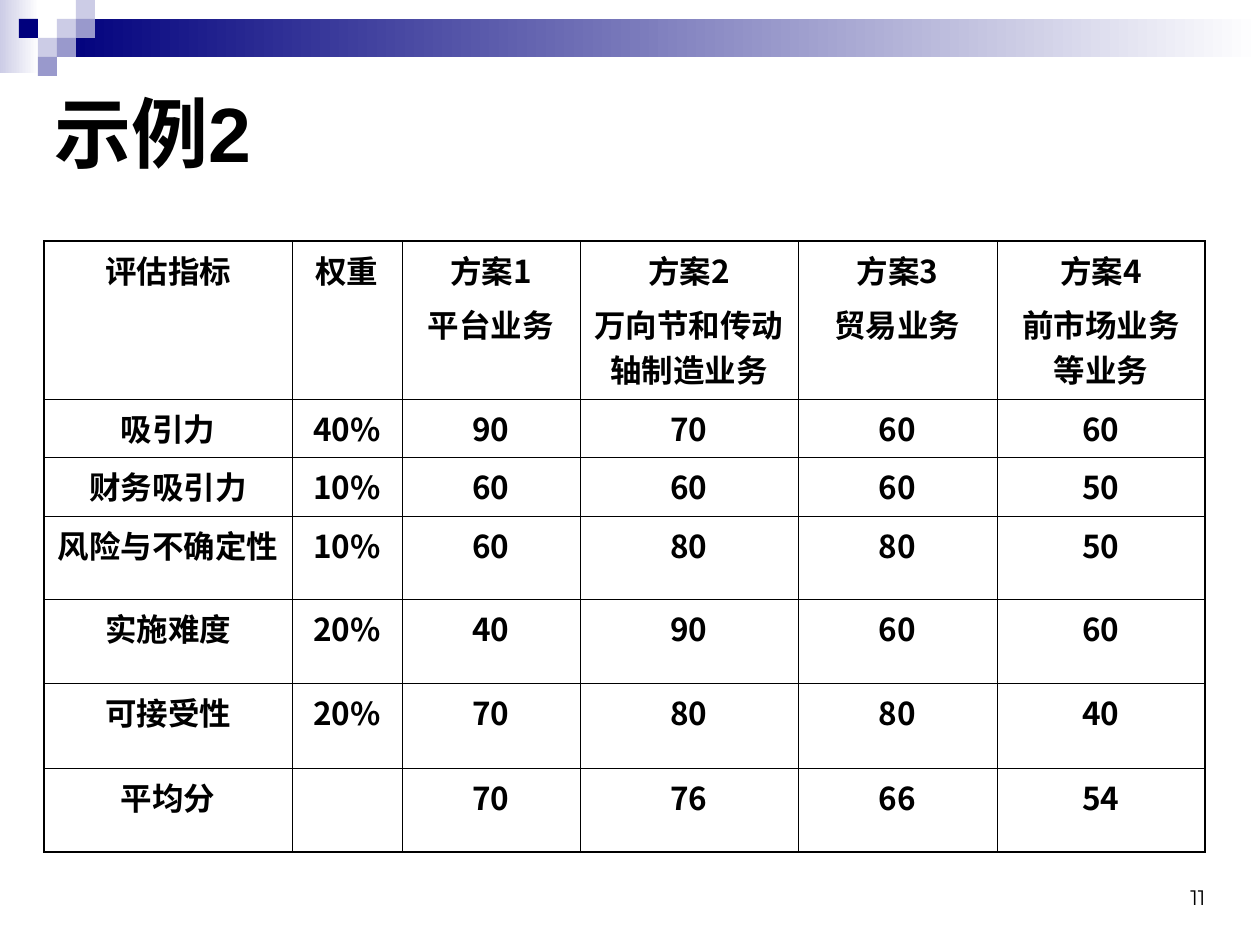
from lxml import etree
from pptx import Presentation
from pptx.dml.color import RGBColor
from pptx.enum.shapes import MSO_SHAPE
from pptx.enum.text import MSO_ANCHOR, PP_ALIGN
from pptx.oxml.ns import qn
from pptx.util import Pt

RECTANGLE = MSO_SHAPE.RECTANGLE
MIDDLE, BOTTOM = MSO_ANCHOR.MIDDLE, MSO_ANCHOR.BOTTOM
LEFT, CENTER, RIGHT = PP_ALIGN.LEFT, PP_ALIGN.CENTER, PP_ALIGN.RIGHT
PX = 914400 / 126  # EMU per px

THEME = {
    "ink": "000000", "navy": "00007D", "violet": "9999CC",
    "lilac": "CCCCE6", "paper": "FFFFFF",
    "cjk": "Noto Sans CJK SC", "title_font": "Arial", "number_font": "Montserrat",
    "title_size": 44, "table_size": 18, "number_size": 12,
    "outer_line": 1.08, "inner_line": 0.45,
}


def box(*lengths):
    return [round(length * PX) for length in lengths]


def style(paragraph, font_name, size, bold, align):
    paragraph.alignment = align
    font = paragraph.font
    font.name, font.size, font.bold = font_name, Pt(size), bold
    font.color.rgb = RGBColor.from_string(THEME["ink"])
    defaults = paragraph._p.pPr.find(qn("a:defRPr"))
    etree.SubElement(defaults, qn("a:ea"), typeface=THEME["cjk"])


prs = Presentation()
prs.slide_width, prs.slide_height = box(1260, 945)
slide = prs.slides.add_slide(prs.slide_layouts[6])

# Header bands, fading to the right
for bounds, start in [((0, 0, 39, 73), "lilac"), ((57, 19, 1203, 38), "navy")]:
    band = slide.shapes.add_shape(RECTANGLE, *box(*bounds))
    band.shadow.inherit = False
    band.line.fill.background()
    band.fill.gradient()
    band.fill.gradient_angle = 0
    for stop, position, colour in zip(band.fill.gradient_stops, (0, 1), (start, "paper")):
        stop.position = position
        stop.color.rgb = RGBColor.from_string(THEME[colour])

# Header mosaic: column, row, colour
TILE = 19
mosaic = [(3, 1, "lilac"), (4, 0, "lilac"), (4, 1, "violet"), (2, 2, "lilac"),
          (1, 1, "navy"), (3, 2, "violet"), (2, 3, "violet")]
for col, row, colour in mosaic:
    tile = slide.shapes.add_shape(RECTANGLE, *box(col * TILE, row * TILE, TILE, TILE))
    tile.shadow.inherit = False
    tile.line.fill.background()
    tile.fill.solid()
    tile.fill.fore_color.rgb = RGBColor.from_string(THEME[colour])

# Slide number and title
captions = [
    ("11", (903, 850, 315, 66), BOTTOM, "number_font", "number_size", False, RIGHT),
    ("示例2", (42, 53, 1177, 158), MIDDLE, "title_font", "title_size", True, LEFT),
]
for text, bounds, anchor, font_key, size_key, bold, align in captions:
    frame = slide.shapes.add_textbox(*box(*bounds)).text_frame
    frame.word_wrap = True
    frame.vertical_anchor = anchor
    frame.text = text
    style(frame.paragraphs[0], THEME[font_key], THEME[size_key], bold, align)

# Score table
scores = [
    ["评估指标", "权重", "方案1\n平台业务", "方案2\n万向节和传动轴制造业务",
     "方案3\n贸易业务", "方案4\n前市场业务等业务"],
    ["吸引力", "40%", "90", "70", "60", "60"],
    ["财务吸引力", "10%", "60", "60", "60", "50"],
    ["风险与不确定性", "10%", "60", "80", "80", "50"],
    ["实施难度", "20%", "40", "90", "60", "60"],
    ["可接受性", "20%", "70", "80", "80", "40"],
    ["平均分", "", "70", "76", "66", "54"],
]
col_widths = [248, 110, 178, 218, 199, 208]
row_heights = [158, 58, 59, 83, 84, 85, 84]
last_row, last_col = len(row_heights) - 1, len(col_widths) - 1

table = slide.shapes.add_table(
    len(row_heights), len(col_widths),
    *box(44, 241, sum(col_widths), sum(row_heights))).table
table.first_row = table.horz_banding = False
for column, width in zip(table.columns, box(*col_widths)):
    column.width = width
for table_row, height in zip(table.rows, box(*row_heights)):
    table_row.height = height

for row, values in enumerate(scores):
    for col, value in enumerate(values):
        cell = table.cell(row, col)
        cell.text = value
        for index, paragraph in enumerate(cell.text_frame.paragraphs):
            if index:
                paragraph.space_before = Pt(4.5)
            style(paragraph, THEME["cjk"], THEME["table_size"], True, CENTER)

        # Borders: heavier around the outside
        edges = {"a:lnL": col == 0, "a:lnR": col == last_col,
                 "a:lnT": row == 0, "a:lnB": row == last_row}
        properties = cell._tc.get_or_add_tcPr()
        for tag, is_outer in edges.items():
            width = Pt(THEME["outer_line" if is_outer else "inner_line"])
            border = etree.SubElement(properties, qn(tag), w=str(width))
            fill = etree.SubElement(border, qn("a:solidFill"))
            etree.SubElement(fill, qn("a:srgbClr"), val=THEME["ink"])
        cell.fill.background()

prs.save("out.pptx")
